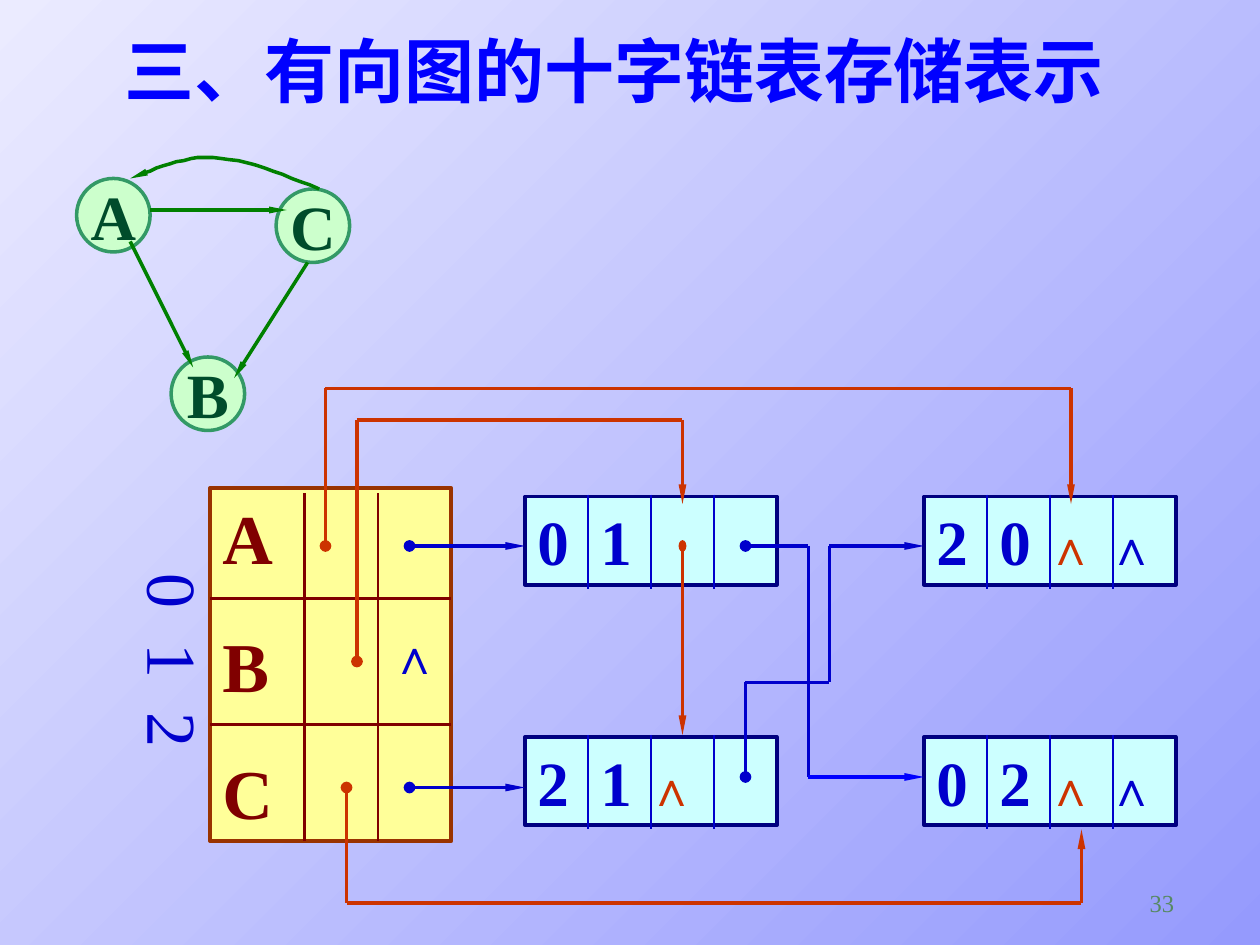
import pptx
import pptx.dml.color
import pptx.enum.shapes
import pptx.enum.text
import pptx.oxml
import pptx.oxml.ns
import pptx.util

RGB = pptx.dml.color.RGBColor
SHAPES = pptx.enum.shapes.MSO_SHAPE
ALIGN = pptx.enum.text.PP_ALIGN
ANCHOR = pptx.enum.text.MSO_ANCHOR
PX = 7620  # 120 px to the inch
FONT = "Times New Roman"

BG_DARK = RGB(0x95, 0x9A, 0xFD)
BG_LIGHT = RGB(0xEB, 0xEB, 0xFF)
TITLE_BLUE = RGB(0x00, 0x00, 0xFF)
PAGE_GREEN = RGB(0x57, 0x89, 0x63)
VERTEX_FILL = RGB(0xCC, 0xFF, 0xCC)
VERTEX_LINE = RGB(0x33, 0x99, 0x66)
VERTEX_TEXT = RGB(0x00, 0x4C, 0x2B)
ARC_GREEN = RGB(0x00, 0x80, 0x00)
HEADS_FILL = RGB(0xFF, 0xFF, 0x99)
HEADS_LINE = RGB(0x99, 0x33, 0x00)
MAROON = RGB(0x80, 0x00, 0x00)
NODE_FILL = RGB(0xCC, 0xFF, 0xFF)
NODE_LINE = RGB(0x00, 0x00, 0x80)
OUT_BLUE = RGB(0x00, 0x00, 0xCC)
IN_RED = RGB(0xCC, 0x33, 0x00)


def px(*lengths):
    return [pptx.util.Emu(length * PX) for length in lengths]


def add_end(line, end, kind, width, length):
    line._get_or_add_ln().append(pptx.oxml.parse_xml(
        f'<a:{end} {pptx.oxml.ns.nsdecls("a")} type="{kind}" w="{width}" len="{length}"/>'))


def write(frame, paragraphs, tabs=(), align=ALIGN.LEFT, gap=0, wrap=True):
    """Each paragraph is a list of (text, size, colour, bold) runs."""
    frame.word_wrap = wrap
    for index, runs in enumerate(paragraphs):
        paragraph = frame.add_paragraph() if index else frame.paragraphs[0]
        paragraph.alignment = align
        if index:
            paragraph.space_before = pptx.util.Pt(gap)
        if tabs:
            stops = "".join(f'<a:tab pos="{tab * PX}" algn="l"/>' for tab in tabs)
            paragraph._p.get_or_add_pPr().append(pptx.oxml.parse_xml(
                f'<a:tabLst {pptx.oxml.ns.nsdecls("a")}>{stops}</a:tabLst>'))
        for text, size, colour, bold in runs:
            run = paragraph.add_run()
            run.text = text
            run.font.name = FONT
            run.font.size = pptx.util.Pt(size)
            run.font.bold = bold
            run.font.color.rgb = colour


def add_label(slide, box, runs, **style):
    frame = slide.shapes.add_textbox(*px(*box)).text_frame
    write(frame, [runs], **style)
    return frame


def add_filled(slide, kind, box, fill, outline, width, anchor):
    shape = slide.shapes.add_shape(kind, *px(*box))
    shape.shadow.inherit = False
    shape.fill.solid()
    shape.fill.fore_color.rgb = fill
    shape.line.color.rgb = outline
    shape.line.width = pptx.util.Pt(width)
    shape.text_frame.vertical_anchor = anchor
    return shape.text_frame


def add_route(slide, points, colour, width=2.25, dot=None, arrow=False):
    """Straight segments through the points; dot is the width class of the start dot."""
    legs = list(zip(points, points[1:]))
    for index, (start, finish) in enumerate(legs):
        leg = slide.shapes.add_connector(
            pptx.enum.shapes.MSO_CONNECTOR.STRAIGHT, *px(*start, *finish))
        leg.line.color.rgb = colour
        leg.line.width = pptx.util.Pt(width)
        if dot and index == 0:
            add_end(leg.line, "headEnd", "oval", dot, "med")
        if arrow and index == len(legs) - 1:
            add_end(leg.line, "tailEnd", "triangle", "sm", "lg")
        leg._element.spPr.append(pptx.oxml.parse_xml(
            f'<a:effectLst {pptx.oxml.ns.nsdecls("a")}/>'))


def bezier(p0, p1, p2, p3, steps=12):
    for step in range(1, steps + 1):
        t = step / steps
        yield tuple((1 - t) ** 3 * a + 3 * t * (1 - t) ** 2 * b
                    + 3 * t ** 2 * (1 - t) * c + t ** 3 * d
                    for a, b, c, d in zip(p0, p1, p2, p3))


def add_digraph(slide, left, top):
    # Vertices
    for name, x, y in (("A", 0, 21), ("B", 90, 191), ("C", 190, 31)):
        frame = add_filled(slide, SHAPES.OVAL, (left + x, top + y, 70, 70),
                           VERTEX_FILL, VERTEX_LINE, 2, ANCHOR.MIDDLE)
        write(frame, [[(name, 36, VERTEX_TEXT, True)]], align=ALIGN.CENTER, wrap=False)
    # Straight arcs A-B, A-C and C-B
    for x1, y1, x2, y2 in ((51, 81, 111, 201), (70, 51, 200, 51), (220, 101, 150, 211)):
        add_route(slide, [(left + x1, top + y1), (left + x2, top + y2)],
                  ARC_GREEN, 2, arrow=True)
    # Curved arc C-A
    knots = [(left + x, top + y) for x, y in
             ((231, 31), (196, 17), (160, 2), (130, 1), (100, 0), (76, 11), (51, 21))]
    builder = slide.shapes.build_freeform(*knots[0], scale=PX)
    builder.add_line_segments([*bezier(*knots[:4]), *bezier(*knots[3:])], close=False)
    arc = builder.convert_to_shape()
    arc.shadow.inherit = False
    arc.fill.background()
    arc.line.color.rgb = ARC_GREEN
    arc.line.width = pptx.util.Pt(2)
    add_end(arc.line, "tailEnd", "triangle", "sm", "lg")


def add_vertex_heads(slide, left, top, width, height):
    frame = add_filled(slide, SHAPES.RECTANGLE, (left, top, width, height),
                       HEADS_FILL, HEADS_LINE, 2.25, ANCHOR.TOP)
    write(frame, [[(name, 40, MAROON, True)] for name in "ABC"], gap=25)
    for y in (top + 105, top + 225):
        add_route(slide, [(left, y), (left + width, y)], MAROON)
    for x in (left + 90, left + 160):
        add_route(slide, [(x, top + 5), (x, top + height)], MAROON, 1.5)
    # Row indexes, turned sideways
    indexes = add_label(slide, (left - 90, top + 15, 103, 300),
                        [("0\t1\t2", 40, OUT_BLUE, False)], tabs=(67, 133))
    indexes._txBody.bodyPr.set("vert", "eaVert")
    indexes.margin_left, indexes.margin_right = px(6, 6)
    indexes.margin_top, indexes.margin_bottom = px(66, 12)
    # B has no outgoing arc
    add_label(slide, (left + 160, top + 125, 71, 68), [("∧", 28, OUT_BLUE, True)], wrap=False)


def add_arc_node(slide, left, top, tail, head, in_null, out_null):
    frame = add_filled(slide, SHAPES.RECTANGLE, (left, top, 240, 84),
                       NODE_FILL, NODE_LINE, 2, ANCHOR.TOP)
    runs = [(f"{tail}\t{head}", 36, OUT_BLUE, True)]
    if in_null:
        runs.append(("\t∧", 28, IN_RED, True))
    if out_null:
        runs.append(("\t∧", 28, OUT_BLUE, True))
    write(frame, [runs], tabs=(60, 105, 163))
    for x in range(left + 60, left + 240, 60):
        add_route(slide, [(x, top - 2), (x, top + 88)], OUT_BLUE, 1.5)


def add_links(slide):
    # Outgoing chains
    add_route(slide, [(390, 520), (500, 520)], OUT_BLUE, dot="med", arrow=True)
    add_route(slide, [(390, 750), (500, 750)], OUT_BLUE, dot="med", arrow=True)
    add_route(slide, [(710, 520), (770, 520), (770, 740)], OUT_BLUE, dot="med")
    add_route(slide, [(770, 740), (880, 740)], TITLE_BLUE, arrow=True)
    add_route(slide, [(710, 740), (710, 650), (790, 650), (790, 520), (880, 520)],
              OUT_BLUE, dot="med", arrow=True)
    # Incoming chains
    add_route(slide, [(310, 520), (310, 370), (1020, 370), (1020, 480)],
              IN_RED, dot="med", arrow=True)
    add_route(slide, [(650, 520), (650, 700)], IN_RED, dot="sm", arrow=True)
    add_route(slide, [(340, 630), (340, 400), (650, 400), (650, 480)],
              IN_RED, dot="med", arrow=True)
    add_route(slide, [(330, 750), (330, 860), (1030, 860), (1030, 790)],
              IN_RED, dot="med", arrow=True)


def main():
    deck = pptx.Presentation()
    deck.slide_width, deck.slide_height = px(1200, 900)
    slide = deck.slides.add_slide(deck.slide_layouts[6])
    # Background
    backdrop = slide.background.fill
    backdrop.gradient()
    backdrop.gradient_angle = 135
    for stop, colour in zip(backdrop.gradient_stops, (BG_DARK, BG_LIGHT)):
        stop.color.rgb = colour
    # Page number and title
    add_label(slide, (880, 840, 250, 60), [("33", 14, PAGE_GREEN, False)], align=ALIGN.RIGHT)
    add_label(slide, (107, 20, 990, 92),
              [("三、有向图的十字链表存储表示", 40, TITLE_BLUE, True)], wrap=False)
    # Diagram
    add_digraph(slide, 73, 149)
    add_vertex_heads(slide, 200, 465, 230, 336)
    for node in ((500, 473, 0, 1, False, False), (880, 473, 2, 0, True, True),
                 (500, 702, 2, 1, True, False), (880, 702, 0, 2, True, True)):
        add_arc_node(slide, *node)
    add_links(slide)
    deck.save("out.pptx")


if __name__ == "__main__":
    main()
